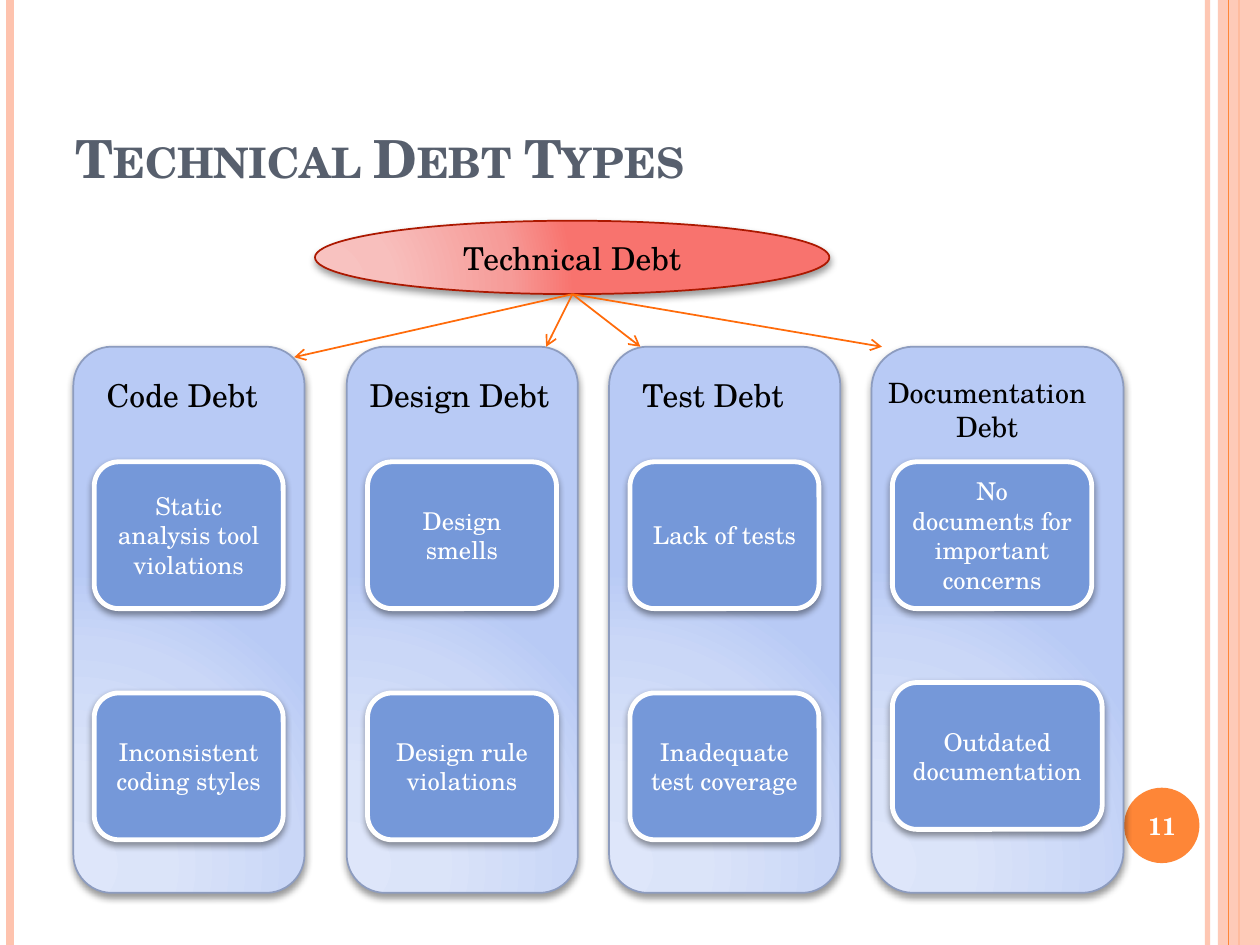
from pptx import Presentation
from pptx.dml.color import RGBColor
from pptx.enum.shapes import MSO_CONNECTOR, MSO_SHAPE
from pptx.enum.text import MSO_ANCHOR, PP_ALIGN
from pptx.oxml import parse_xml
from pptx.oxml.ns import nsdecls, qn
from pptx.util import Cm, Pt
from lxml.etree import SubElement

FONT = "TeX Gyre Schola"
COLORS = {
    "rail": "FEC3AE", "accent": "FE8637", "title": "575F6D",
    "card": "7598D9", "column_line": "8D9CBF", "root_line": "AC1800",
    "arrow": "FF6B0A", "white": "FFFFFF", "black": "000000",
}
GRADIENT_POSITIONS = [0, 30, 75, 100]
COLUMN_GRADIENT = ["DEE6FA", "DBE4F9", "CAD7F7", "B8CAF5"]
ROOT_GRADIENT = ["F8C5C3", "F8BFBD", "F69B98", "F8736E"]

COLUMN_TOP, COLUMN_HEIGHT = 6.99, 11.01
CARD_INDENT, CARD_HEIGHT = 0.42, 2.96

# left, width, label (text, indent, width, size), cards (text, top, width)
COLUMNS = [
    (1.48, 4.66, ("Code Debt", 0.42, 3.81, 18),
     [("Static analysis tool violations", 9.31, 3.81),
      ("Inconsistent coding styles", 13.97, 3.81)]),
    (6.99, 4.66, ("Design Debt", 0.21, 4.23, 18),
     [("Design smells", 9.31, 3.81),
      ("Design rule violations", 13.97, 3.81)]),
    (12.28, 4.66, ("Test Debt", 0.42, 3.81, 18),
     [("Lack of tests", 9.31, 3.81),
      ("Inadequate test coverage", 13.97, 3.81)]),
    (17.57, 5.08, ("Documentation Debt", 0, 4.66, 16),
     [("No documents for important concerns", 9.31, 4.02),
      ("Outdated documentation", 13.76, 4.23)]),
]
ARROW_START = (11.54, 5.93)
ARROW_ENDS = [(5.93, 7.2), (11.01, 6.99), (12.91, 6.99), (17.78, 6.99)]


def rgb(name):
    return RGBColor.from_string(COLORS[name])


def set_alpha(element, percent):
    color = next(element.iter(qn("a:srgbClr")))
    SubElement(color, qn("a:alpha")).set("val", str(percent * 1000))


def write(sp, text, size, color, align=PP_ALIGN.CENTER,
          anchor=MSO_ANCHOR.MIDDLE, bold=False):
    tf = sp.text_frame
    tf.word_wrap = True
    tf.vertical_anchor = anchor
    tf.text = text
    p = tf.paragraphs[0]
    p.alignment = align
    r = p.runs[0]
    r.font.name = FONT
    r.font.size = Pt(size)
    r.font.bold = bold
    r.font.color.rgb = rgb(color)
    return r


def add_text(s, box, text, size, color, **options):
    sp = s.shapes.add_textbox(*map(Cm, box))
    return write(sp, text, size, color, **options)


def add_shape(s, kind, box, fill=None, line=None, width=1):
    sp = s.shapes.add_shape(kind, *map(Cm, box))
    sp.shadow.inherit = False
    if fill:
        sp.fill.solid()
        sp.fill.fore_color.rgb = rgb(fill)
    if line:
        sp.line.color.rgb = rgb(line)
        sp.line.width = Pt(width)
    else:
        sp.line.fill.background()
    return sp


def add_shadow(sp):
    effects = sp._element.spPr.find(qn("a:effectLst"))
    effects.append(parse_xml(
        f'<a:outerShdw {nsdecls("a")} blurRad="{Pt(4)}" dist="{Pt(2)}" '
        'dir="5400000" rotWithShape="0"><a:srgbClr val="000000">'
        '<a:alpha val="40000"/></a:srgbClr></a:outerShdw>'))


def add_gradient(sp, colors):
    stops = "".join(
        f'<a:gs pos="{pos * 1000}"><a:srgbClr val="{color}"/></a:gs>'
        for pos, color in zip(GRADIENT_POSITIONS, colors))
    sp._element.spPr.find(qn("a:prstGeom")).addnext(parse_xml(
        f'<a:gradFill {nsdecls("a")} rotWithShape="1"><a:gsLst>{stops}</a:gsLst>'
        '<a:path path="circle"><a:fillToRect l="5000" t="100000" '
        'r="120000" b="10000"/></a:path></a:gradFill>'))


def add_line(s, start, end, color, width, alpha=None, arrow=False):
    line = s.shapes.add_connector(
        MSO_CONNECTOR.STRAIGHT, *map(Cm, (*start, *end)))
    line.line.color.rgb = rgb(color)
    line.line.width = Pt(width)
    ln = line.line._get_or_add_ln()
    if alpha:
        set_alpha(ln, alpha)
    if arrow:
        SubElement(ln, qn("a:tailEnd")).set("type", "arrow")
    SubElement(line._element.spPr, qn("a:effectLst"))


def add_rail(s, x, color, width, alpha=None):
    add_line(s, (x, 0), (x, 19.05), color, width, alpha)


def add_frame(s):
    add_rail(s, 24.34, "rail", 3, alpha=93)
    add_rail(s, 0.21, "rail", 4.5)
    add_rail(s, 24.98, "accent", 1.5)
    band = add_shape(s, MSO_SHAPE.RECTANGLE, (24.55, 0, 0.85, 19.05), "rail")
    set_alpha(band._element.spPr, 87)
    add_rail(s, 24.77, "accent", 0.75)
    add_shape(s, MSO_SHAPE.OVAL, (22.66, 15.88, 1.52, 1.52), "accent")


def add_column(s, left, width, label, cards):
    column = add_shape(s, MSO_SHAPE.ROUNDED_RECTANGLE,
                       (left, COLUMN_TOP, width, COLUMN_HEIGHT),
                       line="column_line")
    add_gradient(column, COLUMN_GRADIENT)
    add_shadow(column)
    text, indent, label_width, size = label
    align = PP_ALIGN.LEFT if size == 18 else PP_ALIGN.CENTER
    add_text(s, (left + indent, 7.45, label_width, 1.02), text, size, "black",
             align=align, anchor=MSO_ANCHOR.TOP)
    for text, top, card_width in cards:
        card = add_shape(s, MSO_SHAPE.ROUNDED_RECTANGLE,
                         (left + CARD_INDENT, top, card_width, CARD_HEIGHT),
                         "card", "white", 2.75)
        add_shadow(card)
        write(card, text, 14, "white")


def add_root(s):
    root = add_shape(s, MSO_SHAPE.OVAL, (6.35, 4.45, 10.37, 1.48),
                     line="root_line")
    add_gradient(root, ROOT_GRADIENT)
    add_shadow(root)
    write(root, "Technical Debt", 18, "black")


def main():
    prs = Presentation()
    prs.slide_width, prs.slide_height = Cm(25.4), Cm(19.05)
    s = prs.slides.add_slide(prs.slide_layouts[6])
    add_frame(s)
    title = add_text(s, (1.27, 0.76, 20.75, 3.18), "Technical Debt Types", 30,
                     "title", align=PP_ALIGN.LEFT, anchor=MSO_ANCHOR.BOTTOM,
                     bold=True)
    title.font._element.set("cap", "small")
    for column in COLUMNS:
        add_column(s, *column)
    add_root(s)
    for end in ARROW_ENDS:
        add_line(s, ARROW_START, end, "arrow", 1, arrow=True)
    add_text(s, (22.58, 15.93, 1.7, 1.45), "11", 14, "white", bold=True)
    prs.save("out.pptx")


if __name__ == "__main__":
    main()
